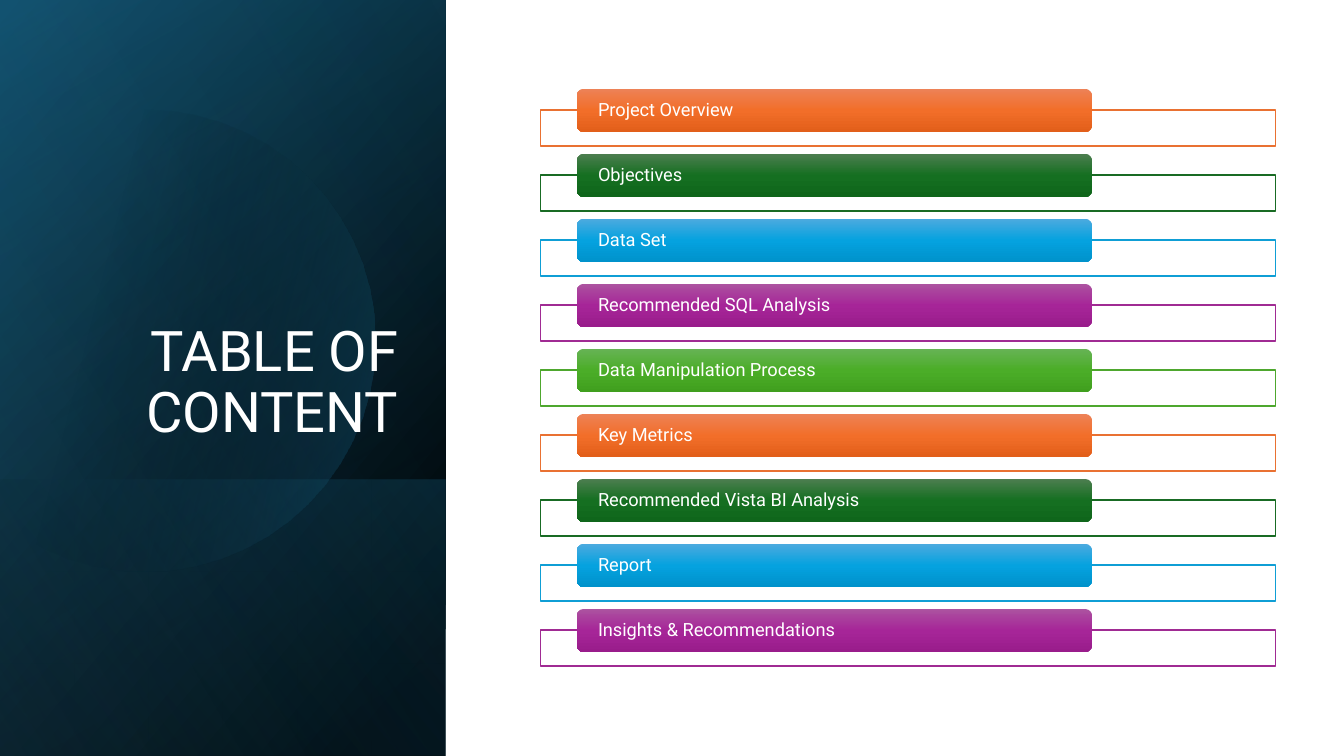
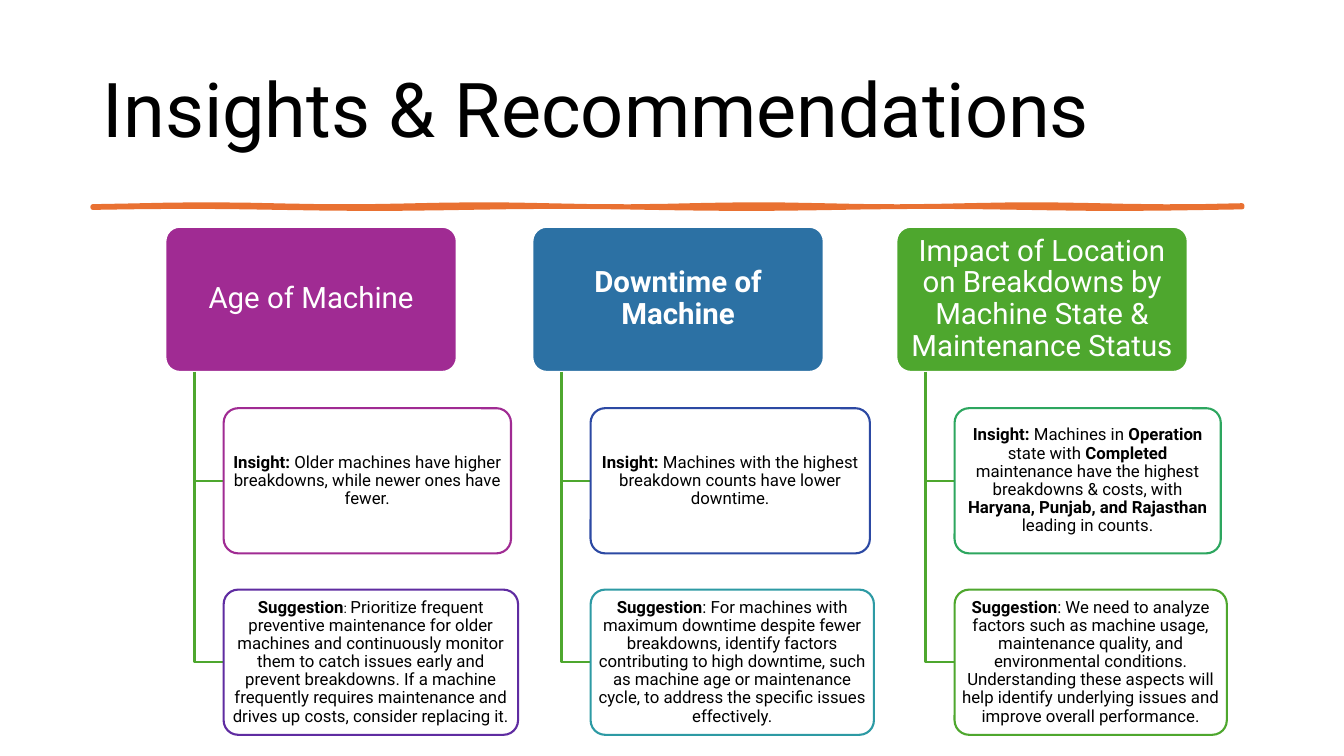
from math import acos, cos, pi, sin

from pptx import Presentation
from pptx.dml.color import RGBColor
from pptx.enum.shapes import MSO_SHAPE
from pptx.enum.text import MSO_ANCHOR, MSO_AUTO_SIZE, PP_ALIGN
from pptx.oxml import parse_xml
from pptx.oxml.ns import nsdecls, qn
from pptx.util import Inches, Pt

FONT = "Roboto"
COLORS = {
    "white": "FFFFFF", "black": "000000", "navy": "104862", "teal": "156082", "sky": "46B1E1",
    "orange": "E97132", "forest": "196B24", "blue": "0F9ED5", "purple": "A02B93",
    "green": "4EA72E", "steel": "2C71A4", "violet": "5F2CA1", "indigo": "2C49A3",
    "cyan": "2D9AA4", "emerald": "2DA65F",
}
RGB = {name: RGBColor.from_string(value) for name, value in COLORS.items()}


def write(shape, runs, size, color, align, anchor=MSO_ANCHOR.MIDDLE, inset=(0.1, 0.05)):
    """Fill a shape with one paragraph; each run is (text, bold) or (text, bold, own size)."""
    frame = shape.text_frame
    frame.word_wrap = True
    frame.auto_size = MSO_AUTO_SIZE.NONE
    frame.vertical_anchor = anchor
    frame.margin_left = frame.margin_right = Inches(inset[0])
    frame.margin_top = frame.margin_bottom = Inches(inset[1])
    para = frame.paragraphs[0]
    para.alignment = align
    para.line_spacing = 0.9
    for text, bold, *own_size in runs:
        span = para.add_run()
        span.text = text
        span.font.name = FONT
        span.font.size = Pt(own_size[0] if own_size else size)
        span.font.bold = bold
        span.font.color.rgb = RGB[color]


def paint_gradient(shape, stops, angle):
    """Give a borderless shape a linear gradient; stops are (position %, hex, opacity %)."""
    shape.shadow.inherit = False
    shape.line.fill.background()
    shape.fill.background()
    marks = "".join(
        f'<a:gs pos="{at * 1000}"><a:srgbClr val="{value}">'
        f'<a:alpha val="{opacity * 1000}"/></a:srgbClr></a:gs>'
        for at, value, opacity in stops)
    gradient = parse_xml(
        f'<a:gradFill {nsdecls("a")} rotWithShape="1"><a:gsLst>{marks}</a:gsLst>'
        f'<a:lin ang="{angle * 60000}" scaled="0"/></a:gradFill>')
    properties = shape.element.spPr
    properties.replace(properties.find(qn("a:noFill")), gradient)


deck = Presentation()
deck.slide_width, deck.slide_height = Inches(13.33), Inches(7.5)
title_only = deck.slide_layouts[5]

# Table of content: dark side panel
page = deck.slides.add_slide(title_only)
panel_width = 4.42
panel_layers = [
    (0, [(8, COLORS["black"], 100), (100, COLORS["navy"], 100)], 220),
    (0, [(0, COLORS["black"], 0), (99, COLORS["teal"], 46)], 240),
    (4.76, [(2, COLORS["teal"], 29), (100, COLORS["black"], 30)], 140),
]
for top, stops, angle in panel_layers:
    layer = page.shapes.add_shape(MSO_SHAPE.RECTANGLE, 0, Inches(top), Inches(panel_width),
                                  deck.slide_height - Inches(top))
    paint_gradient(layer, stops, angle)

# Disc cut off by the left edge of the slide; freeform points are whole EMU
center_x, center_y, radius = 1.43, 3.38, 2.29
reach = acos(-center_x / radius)
steps = 40
rim = [(Inches(center_x + radius * cos(turn)), Inches(center_y + radius * sin(turn)))
       for turn in (reach * (2 * step / steps - 1) for step in range(steps + 1))]
outline = page.shapes.build_freeform(*rim[0])
outline.add_line_segments(rim[1:], close=True)
paint_gradient(outline.convert_to_shape(),
               [(29, COLORS["black"], 0), (100, COLORS["teal"], 43)], 14)

sheen = page.shapes.add_shape(MSO_SHAPE.RECTANGLE, 0, 0, Inches(panel_width), deck.slide_height)
paint_gradient(sheen, [(0, COLORS["black"], 0), (99, COLORS["sky"], 11)], 150)

title = page.shapes.title
title.left, title.top, title.width, title.height = map(Inches, (0.64, 1.84, 3.41, 2.62))
write(title, [("TABLE OF CONTENT", False)], 40, "white", PP_ALIGN.RIGHT, MSO_ANCHOR.BOTTOM)
title.element.getparent().append(title.element)  # in front of the panel

# Table of content: list of topics
topics = ["Project Overview", "Objectives", "Data Set", "Recommended SQL Analysis",
          "Data Manipulation Process", "Key Metrics", "Recommended Vista BI Analysis",
          "Report", "Insights & Recommendations"]
topic_styles = [
    ("orange", ("ED8257", "F26E29", "E25F1A")),
    ("forest", ("4D7E50", "156F21", "0F661B")),
    ("blue", ("4CAADF", "05A2DF", "0092CB")),
    ("purple", ("AC53A0", "A62598", "991C8B")),
    ("green", ("66B354", "4BAD28", "409F1E")),
]
first_row, last_row = 0.88, 6.04
row_pitch = (last_row - first_row) / (len(topics) - 1)
for row, topic in enumerate(topics):
    border, shades = topic_styles[row % len(topic_styles)]
    top = first_row + row * row_pitch
    frame_box = page.shapes.add_shape(MSO_SHAPE.RECTANGLE, Inches(5.36), Inches(top + 0.21),
                                      Inches(7.29), Inches(0.36))
    frame_box.shadow.inherit = False
    frame_box.fill.solid()
    frame_box.fill.fore_color.rgb = RGB["white"]
    frame_box.line.color.rgb = RGB[border]
    frame_box.line.width = Pt(1)
    pill = page.shapes.add_shape(MSO_SHAPE.ROUNDED_RECTANGLE, Inches(5.72), Inches(top),
                                 Inches(5.11), Inches(0.43))
    paint_gradient(pill, [(at, shade, 100) for at, shade in zip((0, 50, 100), shades)], 90)
    write(pill, [(topic, False)], 13, "white", PP_ALIGN.LEFT, inset=(0.19, 0))

# Insights & Recommendations: title and brush stroke
page = deck.slides.add_slide(title_only)
title = page.shapes.title
title.left, title.top, title.width, title.height = map(Inches, (0.92, 0.4, 11.5, 1.45))
write(title, [("Insights & Recommendations", False)], 54, "black", PP_ALIGN.LEFT)

stroke_left, stroke_width, stroke_steps = 0.92, 11.4, 30
xs = [stroke_left + stroke_width * step / stroke_steps for step in range(stroke_steps + 1)]
upper = [(Inches(x), Inches(2.04 + 0.01 * sin(2.3 * x))) for x in xs]
lower = [(Inches(x), Inches(2.06 + 0.01 * sin(1.7 * x + pi / 2))) for x in xs]
outline = page.shapes.build_freeform(*upper[0])
outline.add_line_segments(upper[1:] + lower[::-1], close=True)
stroke = outline.convert_to_shape()
stroke.shadow.inherit = False
stroke.fill.solid()
stroke.fill.fore_color.rgb = RGB["orange"]
stroke.line.color.rgb = RGB["orange"]
stroke.line.width = Pt(3.25)

# Insights & Recommendations: a header with two cards per column
# Column: left, header fill, header run, cards as (width, border, runs)
columns = [
    (1.64, "purple", ("Age of Machine", False), [
        (2.85, "purple", [
            ("Insight: ", True),
            ("Older machines have higher breakdowns, while newer ones have fewer.", False)]),
        (2.92, "violet", [
            ("Suggestion", True), (": ", False, 10),
            ("Prioritize frequent preventive maintenance for older machines and continuously "
             "monitor them to catch issues early and prevent breakdowns. If a machine "
             "frequently requires maintenance and drives up costs, consider replacing it.",
             False)]),
    ]),
    (5.28, "steel", ("Downtime of Machine", True), [
        (2.77, "indigo", [
            ("Insight: ", True),
            ("Machines with the highest breakdown counts have lower downtime.", False)]),
        (2.81, "cyan", [
            ("Suggestion", True),
            (": For machines with maximum downtime despite fewer breakdowns, identify factors "
             "contributing to high downtime, such as machine age or maintenance cycle, to "
             "address the specific issues effectively.", False)]),
    ]),
    (8.89, "green",
     ("Impact of Location on Breakdowns by Machine State & Maintenance Status", False), [
        (2.64, "emerald", [
            ("Insight: ", True), ("Machines in ", False), ("Operation ", True),
            ("state with ", False), ("Completed", True),
            (" maintenance have the highest breakdowns & costs, with ", False),
            ("Haryana, Punjab, and Rajasthan ", True), ("leading in counts.", False)]),
        (2.7, "green", [
            ("Suggestion", True),
            (": We need to analyze factors such as machine usage, maintenance quality, and "
             "environmental conditions. Understanding these aspects will help identify "
             "underlying issues and improve overall performance.", False)]),
    ]),
]
header_width, box_height, box_top = 2.89, 1.44, 2.25
box_pitch = box_height * 1.25
indent = header_width / 10
for left, header_fill, header_run, cards in columns:
    boxes = [(left, header_width, header_fill, "white", [header_run], 21, "white", (0.04, 0.03))]
    boxes += [(left + 2 * indent, width, "white", border, runs, 12, "black", (0.03, 0.02))
              for width, border, runs in cards]
    for row, (box_left, width, fill, border, runs, size, color, inset) in enumerate(boxes):
        top = box_top + row * box_pitch
        if row:
            trunk_x, middle = Inches(left + indent), Inches(top + box_height / 2)
            outline = page.shapes.build_freeform(trunk_x, Inches(box_top + box_height))
            outline.add_line_segments([(trunk_x, middle), (Inches(box_left), middle)],
                                      close=False)
            elbow = outline.convert_to_shape()
            elbow.shadow.inherit = False
            elbow.fill.background()
            elbow.line.color.rgb = RGB["green"]
            elbow.line.width = Pt(1.5)
        box = page.shapes.add_shape(MSO_SHAPE.ROUNDED_RECTANGLE, Inches(box_left), Inches(top),
                                    Inches(width), Inches(box_height))
        box.adjustments[0] = 0.1
        box.shadow.inherit = False
        box.fill.solid()
        box.fill.fore_color.rgb = RGB[fill]
        box.line.color.rgb = RGB[border]
        box.line.width = Pt(1.5)
        write(box, runs, size, color, PP_ALIGN.CENTER, inset=inset)

deck.save("out.pptx")
